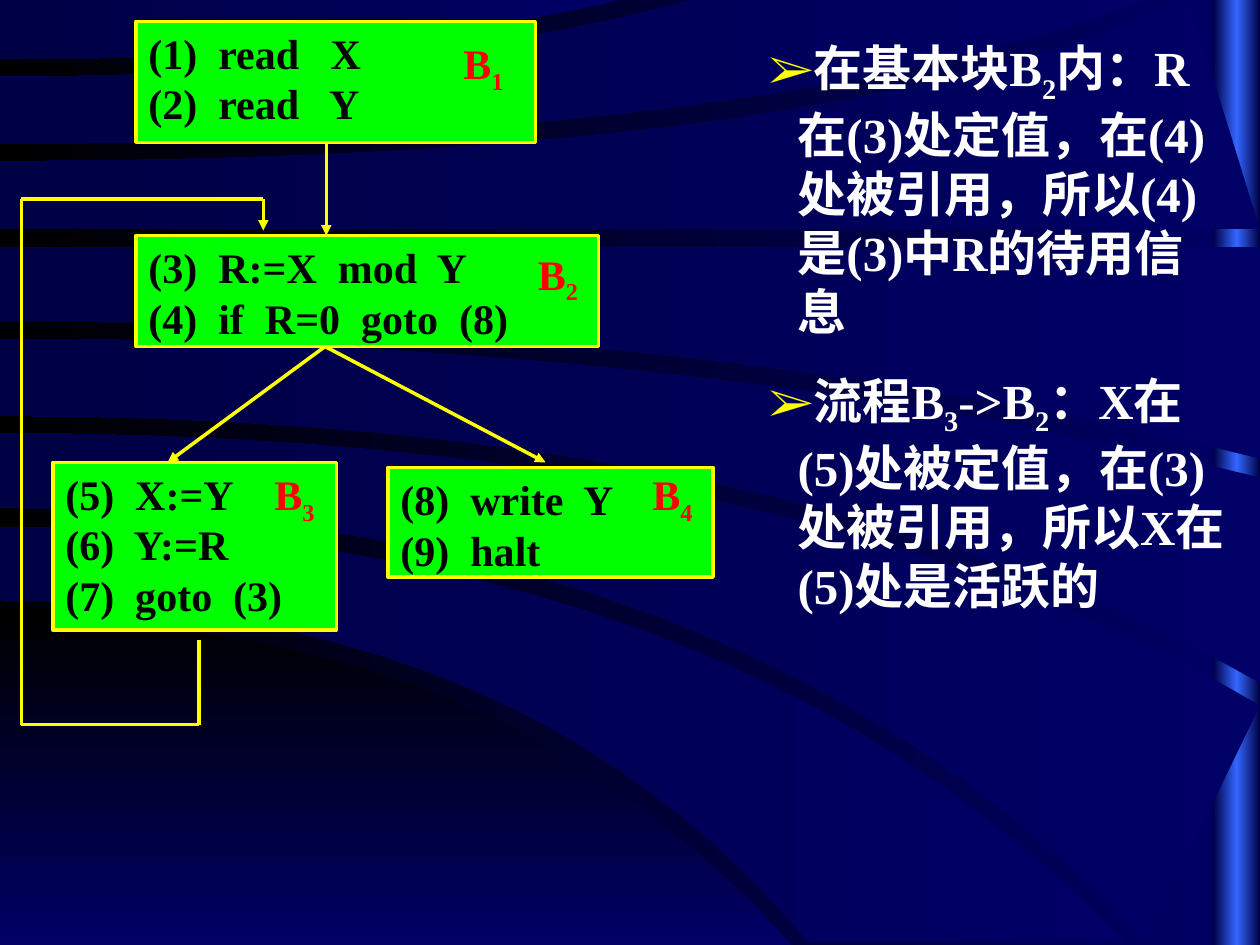
from copy import deepcopy
from itertools import pairwise

from lxml import etree
from pptx import Presentation
from pptx import util as u
from pptx.dml.color import RGBColor
from pptx.enum import shapes, text
from pptx.oxml.ns import qn

NAVY = RGBColor(0x00, 0x00, 0x66)
DARK_NAVY = RGBColor(0x00, 0x00, 0x44)
BLUE = RGBColor(0x33, 0x66, 0xFF)
BLACK = RGBColor(0x00, 0x00, 0x00)
WHITE = RGBColor(0xFF, 0xFF, 0xFF)
YELLOW = RGBColor(0xFF, 0xFF, 0x00)
GREEN = RGBColor(0x00, 0xFF, 0x00)
RED = RGBColor(0xFF, 0x00, 0x00)
FONT = "Times New Roman"

# Each edge: start height, horizontal reach of the bend, end x, end y
CORNER = ((4.91, 4, 6.28, 7.5), (7.5, 3.14, 6.28, 7.5))
BANDS = [
    ((4.18, 5.74, 8.93, 7.48), (4.77, 4.17, 6.42, 7.48)),
    ((3.44, 6.4, 10, 5.6), (4.03, 5.9, 9.09, 7.48)),
    ((2.69, 5.54, 10, 3.79), (3.3, 6.3, 10, 5.42)),
    ((1.96, 5, 10, 1.96), (2.55, 5.66, 10, 3.64)),
    ((1.28, 6.73, 9.43, -0.02), (1.82, 5, 10, 1.82)),
    ((0.61, 3.32, 5.56, -0.02), (1.14, 6.15, 9.17, -0.02)),
    ((-0.02, 2.5, 5.01, -0.02), (0.47, 2.94, 5.01, -0.02)),
]


def inches(*values):
    return [u.Inches(value) for value in values]


def paint_gradient(fill, start, end, angle=180):
    fill.gradient()
    fill.gradient_angle = angle
    for stop, color in zip(fill.gradient_stops, (start, end)):
        stop.color.rgb = color


def write(frame, lines, size=24, color=BLACK, before=0):
    """Write one paragraph per line; pieces between bars become subscripts."""
    frame.word_wrap = True
    frame.auto_size = text.MSO_AUTO_SIZE.NONE
    frame.vertical_anchor = text.MSO_ANCHOR.TOP
    for index, line in enumerate(lines):
        para = frame.paragraphs[0] if index == 0 else frame.add_paragraph()
        para.alignment = text.PP_ALIGN.LEFT
        para.space_before = u.Pt(before)
        for place, piece in enumerate(line.split("|")):
            if not piece:
                continue
            span = para.add_run()
            span.text = piece
            span.font.name = FONT
            span.font.size = u.Pt(size)
            span.font.bold = True
            span.font.color.rgb = color
            if place % 2:
                span.font._element.set("baseline", "-25000")


def set_bullet(para, mark, color, indent):
    props = para._p.get_or_add_pPr()
    props.set("marL", str(indent))
    props.set("indent", str(-indent))
    holder = etree.SubElement(props, qn("a:buClr"))
    etree.SubElement(holder, qn("a:srgbClr"), val=str(color))
    etree.SubElement(props, qn("a:buFont"), typeface=FONT)
    etree.SubElement(props, qn("a:buChar"), char=mark)


def add_line(page, start, end, arrow=False):
    line = page.shapes.add_connector(shapes.MSO_CONNECTOR.STRAIGHT, *inches(*start, *end))
    line.line.color.rgb = YELLOW
    line.line.width = u.Pt(2)
    props = line._element.spPr
    if arrow:
        etree.SubElement(props.find(qn("a:ln")), qn("a:tailEnd"), type="triangle")
    etree.SubElement(props, qn("a:effectLst"))


def trace_edge(start_y, bend_x, end_x, end_y, steps=20):
    """Sample a quadratic curve that leaves the left side horizontally."""
    points = []
    for step in range(steps + 1):
        t = step / steps
        x = 2 * t * (1 - t) * bend_x + t * t * end_x
        y = start_y + t * t * (end_y - start_y)
        points.append((u.Inches(x), u.Inches(y)))
    return points


def add_band(page, edges, start, end, angle=180):
    upper, lower = (trace_edge(*edge) for edge in edges)
    points = upper + lower[::-1]
    builder = page.shapes.build_freeform(*points[0])
    builder.add_line_segments(points[1:], close=True)
    band = builder.convert_to_shape()
    band.shadow.inherit = False
    band.line.fill.background()
    paint_gradient(band.fill, start, end, angle)


def draw_backdrop(page, width, height):
    paint_gradient(page.background.fill, NAVY, BLACK)
    strip_width = 0.37
    strip = page.shapes.add_shape(shapes.MSO_SHAPE.RECTANGLE,
                                  *inches(width - strip_width, 0, strip_width, height))
    strip.shadow.inherit = False
    strip.line.fill.background()
    paint_gradient(strip.fill, DARK_NAVY, BLUE)
    stops = strip._element.spPr.find(".//" + qn("a:gsLst"))
    stops[1].set("pos", "50000")
    stops.append(deepcopy(stops[0]))
    stops[2].set("pos", "100000")
    add_band(page, CORNER, BLACK, NAVY, angle=270)
    for edges in BANDS:
        add_band(page, edges, NAVY, DARK_NAVY)


def fill_notes(page, left, top, width, height):
    """Place the bulleted explanation in the body placeholder, above the backdrop."""
    title = page.shapes.title._element
    title.getparent().remove(title)
    body = page.placeholders[1]
    body.left, body.top, body.width, body.height = inches(left, top, width, height)
    write(body.text_frame, [
        "在基本块B|2|内：R在(3)处定值，在(4)处被引用，所以(4)是(3)中R的待用信息",
        "流程B|3|->B|2|：X在(5)处被定值，在(3)处被引用，所以X在(5)处是活跃的",
    ], size=28, color=WHITE, before=17.5)
    for para in body.text_frame.paragraphs:
        set_bullet(para, "➢", YELLOW, u.Inches(0.23))
    page.shapes._spTree.append(body._element)


def draw_flow(page, left, top):
    """Draw the basic blocks, their labels and the flow between them."""
    def at(x, y):
        return left + x, top + y

    blocks = [
        ((0.91, 0), (3.17, 0.96), (3.41, 0.08), ["(1)  read   X", "(2)  read   Y"]),
        ((0.91, 1.7), (3.67, 0.88), (4, 1.75), ["(3)  R:=X  mod  Y", "(4)  if  R=0  goto  (8)"]),
        ((0.25, 3.5), (2.25, 1.33), (1.91, 3.5), ["(5)  X:=Y", "(6)  Y:=R", "(7)  goto  (3)"]),
        ((2.91, 3.54), (2.58, 0.87), (4.91, 3.5), ["(8)  write  Y", "(9)  halt"]),
    ]
    for number, (corner, size, label_corner, code) in enumerate(blocks, 1):
        block = page.shapes.add_shape(shapes.MSO_SHAPE.RECTANGLE, *inches(*at(*corner), *size))
        block.shadow.inherit = False
        block.fill.solid()
        block.fill.fore_color.rgb = GREEN
        block.line.color.rgb = YELLOW
        block.line.width = u.Pt(2)
        write(block.text_frame, code)
        label = page.shapes.add_textbox(*inches(*at(*label_corner), 0.67, 0.56))
        write(label.text_frame, [f"B|{number}|"], color=RED, before=15)

    add_line(page, at(2.42, 0.96), at(2.42, 1.7), arrow=True)
    for target in ((1.16, 3.5), (4.16, 3.5)):
        add_line(page, at(2.41, 2.58), at(*target), arrow=True)
    loop = [(1.41, 4.91), (1.41, 5.58), (0, 5.58), (0, 1.41), (1.92, 1.41), (1.92, 1.66)]
    for start, end in pairwise(loop):
        add_line(page, at(*start), at(*end), arrow=end == loop[-1])


def main():
    deck = Presentation()
    deck.slide_width, deck.slide_height = inches(10, 7.5)
    page = deck.slides.add_slide(deck.slide_layouts[1])
    draw_backdrop(page, 10, 7.5)
    fill_notes(page, 6, 0.25, 3.83, 4.68)
    draw_flow(page, 0.17, 0.17)
    deck.save("out.pptx")


if __name__ == "__main__":
    main()
